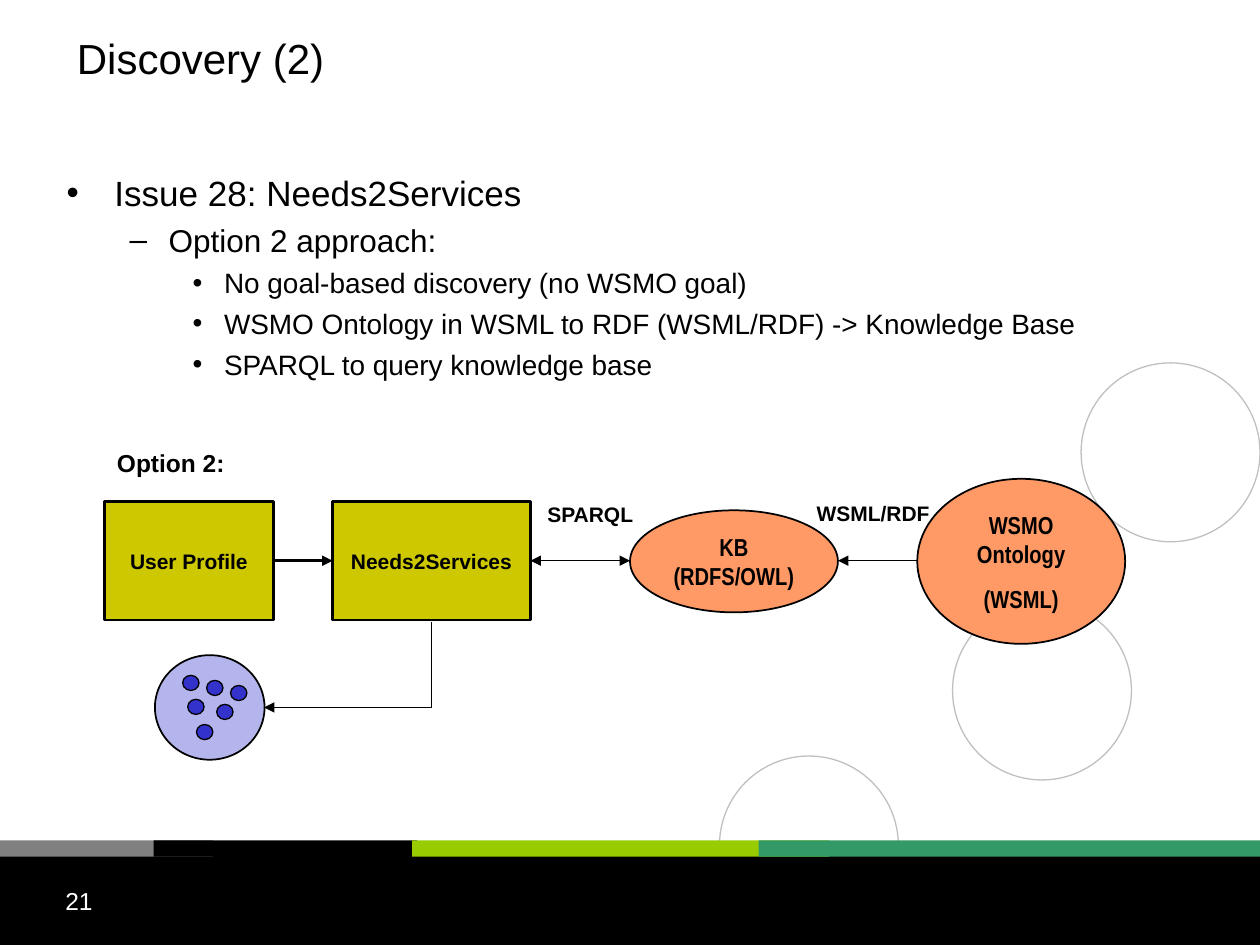
from lxml.etree import SubElement
from pptx import Presentation
from pptx.dml.color import RGBColor
from pptx.enum.shapes import MSO_CONNECTOR, MSO_SHAPE
from pptx.enum.text import MSO_ANCHOR, PP_ALIGN
from pptx.oxml.ns import qn
from pptx.util import Inches, Pt

BLACK = RGBColor(0x00, 0x00, 0x00)
WHITE = RGBColor(0xFF, 0xFF, 0xFF)
GRAY = RGBColor(0x80, 0x80, 0x80)
SILVER = RGBColor(0xC0, 0xC0, 0xC0)
LIME = RGBColor(0x99, 0xCC, 0x00)
GREEN = RGBColor(0x33, 0x99, 0x66)
OLIVE = RGBColor(0xCD, 0xC8, 0x00)
ORANGE = RGBColor(0xFF, 0x99, 0x66)
LAVENDER = RGBColor(0xB5, 0xB5, 0xED)
BLUE = RGBColor(0x33, 0x33, 0xCC)

# Content
TITLE = "Discovery (2)"
OUTLINE = [  # level, text
    (0, "Issue 28: Needs2Services"),
    (1, "Option 2 approach:"),
    (2, "No goal-based discovery (no WSMO goal)"),
    (2, "WSMO Ontology in WSML to RDF (WSML/RDF) -> Knowledge Base"),
    (2, "SPARQL to query knowledge base"),
]
LEVELS = [  # bullet, indent, hanging, size, space before
    ("•", 0.38, 0.38, 20, 5),
    ("–", 0.81, 0.31, 18, 4.5),
    ("•", 1.25, 0.25, 16, 4),
]
PROCESSES = [("User Profile", (0.83, 3.98, 1.34, 0.94)),
             ("Needs2Services", (2.64, 3.98, 1.57, 0.94))]
STORES = [("KB\v(RDFS/OWL)", (5, 4.05, 1.65, 0.81)),
          ("WSMO Ontology\n(WSML)", (7.28, 3.8, 1.65, 1.31))]
LABELS = [  # text, place, size, alignment
    ("Option 2:", (0.83, 3.51, 1.2, 0.32), 14, PP_ALIGN.LEFT),
    ("SPARQL", (4.2, 3.92, 0.97, 0.32), 12, PP_ALIGN.CENTER),
    ("WSML/RDF", (6.33, 3.91, 1.2, 0.32), 12, PP_ALIGN.CENTER),
]
DOTS = [(1.64, 5.4), (1.49, 5.55), (1.72, 5.59), (1.56, 5.75), (1.83, 5.44), (1.45, 5.36)]
RINGS = [(5.71, 6), (7.56, 4.77), (8.58, 2.88)]
STRIPES = [(0, 1.69, GRAY), (1.22, 2.09, BLACK), (3.27, 3.31, LIME), (6.02, 3.98, GREEN)]
FLOW_Y = 4.45


def add_box(kind, place, fill=None, line=None, width=0.75):
    box = slide.shapes.add_shape(kind, *map(Inches, place))
    box.shadow.inherit = False
    if fill is None:
        box.fill.background()
    else:
        box.fill.solid()
        box.fill.fore_color.rgb = fill
    if line is None:
        box.line.fill.background()
    else:
        box.line.color.rgb = line
        box.line.width = Pt(width)
    return box


def write(box, text, size, color=BLACK, bold=False, font="Arial", align=PP_ALIGN.LEFT,
          anchor=MSO_ANCHOR.MIDDLE, wrap=True, gap=0):
    frame = box.text_frame
    frame.text = text
    frame.word_wrap = wrap
    frame.vertical_anchor = anchor
    for number, para in enumerate(frame.paragraphs):
        para.alignment = align
        if number:
            para.space_before = Pt(gap)
        for span in para.runs:
            span.font.name = font
            span.font.size = Pt(size)
            span.font.bold = bold
            span.font.color.rgb = color


def add_arrow(kind, start, end, width=0.75, ends=("tailEnd",)):
    arrow = slide.shapes.add_connector(kind, *map(Inches, start + end))
    arrow.line.color.rgb = BLACK
    arrow.line.width = Pt(width)
    outline = arrow.line._get_or_add_ln()
    for name in ends:
        SubElement(outline, qn("a:" + name), type="triangle")
    SubElement(arrow._element.spPr, qn("a:effectLst"))
    return arrow


deck = Presentation()
deck.slide_width, deck.slide_height = Inches(10), Inches(7.5)
slide = deck.slides.add_slide(deck.slide_layouts[5])

# Background rings and footer band
for number, (left, top) in enumerate(RINGS):
    add_box(MSO_SHAPE.OVAL, (left, top, 1.42, 1.42), line=SILVER)
    if number == 0:
        add_box(MSO_SHAPE.RECTANGLE, (0, 6.75, 10, 0.75), BLACK)
for left, width, color in STRIPES:
    add_box(MSO_SHAPE.RECTANGLE, (left, 6.67, width, 0.13), color)

# Title
title = slide.shapes.title
title.left, title.top, title.width, title.height = map(Inches, (0.51, 0, 7.83, 0.92))
write(title, TITLE, 24)

# Bulleted outline
body = slide.shapes.add_textbox(*map(Inches, (0.43, 1.31, 9.15, 5.11)))
write(body, "\n".join(text for _, text in OUTLINE), 20, anchor=MSO_ANCHOR.TOP)
for number, (level, _) in enumerate(OUTLINE):
    bullet, indent, hanging, size, gap = LEVELS[level]
    para = body.text_frame.paragraphs[number]
    para.level = level
    if number:
        para.space_before = Pt(gap)
    properties = para._p.get_or_add_pPr()
    properties.set("marL", str(Inches(indent)))
    properties.set("indent", str(-Inches(hanging)))
    SubElement(properties, qn("a:buFont"), typeface="Arial")
    SubElement(properties, qn("a:buChar"), char=bullet)
    para.runs[0].font.size = Pt(size)

# Processes, knowledge stores and labels
processes = []
for text, place in PROCESSES:
    process = add_box(MSO_SHAPE.RECTANGLE, place, OLIVE, BLACK, 1.5)
    write(process, text, 12, bold=True, align=PP_ALIGN.CENTER, wrap=False)
    processes.append(process)
for text, place in STORES:
    store = add_box(MSO_SHAPE.OVAL, place, ORANGE, BLACK, 1)
    write(store, text, 14, bold=True, font="Arial Narrow", align=PP_ALIGN.CENTER, gap=8.8)
for text, place, size, align in LABELS:
    label = slide.shapes.add_textbox(*map(Inches, place))
    write(label, text, size, bold=True, align=align, wrap=False)

# Set of services
add_box(MSO_SHAPE.OVAL, (1.23, 5.2, 0.87, 0.83), LAVENDER, BLACK, 1)
for left, top in DOTS:
    add_box(MSO_SHAPE.OVAL, (left, top, 0.13, 0.12), BLUE, BLACK)

# Arrows
user_profile, needs = processes
link = add_arrow(MSO_CONNECTOR.STRAIGHT, (2.17, FLOW_Y), (2.64, FLOW_Y), 1.5)
link.begin_connect(user_profile, 3)
link.end_connect(needs, 1)
query = add_arrow(MSO_CONNECTOR.STRAIGHT, (5, FLOW_Y), (4.21, FLOW_Y),
                  ends=("headEnd", "tailEnd"))
query.end_connect(needs, 3)
add_arrow(MSO_CONNECTOR.STRAIGHT, (7.28, FLOW_Y), (6.65, FLOW_Y))

# One-bend arrow, turned a quarter so that it runs down and then left
result = add_arrow(MSO_CONNECTOR.ELBOW, (2.42, 4.61), (3.1, 5.94))
shape_properties = result._element.spPr
shape_properties.find(qn("a:prstGeom")).set("prst", "bentConnector2")
shape_properties.find(qn("a:xfrm")).set("rot", str(90 * 60000))

# Slide number
page_number = slide.shapes.add_textbox(*map(Inches, (0.42, 6.98, 2.33, 0.52)))
write(page_number, "21", 14, WHITE, anchor=MSO_ANCHOR.TOP)

deck.save("out.pptx")
